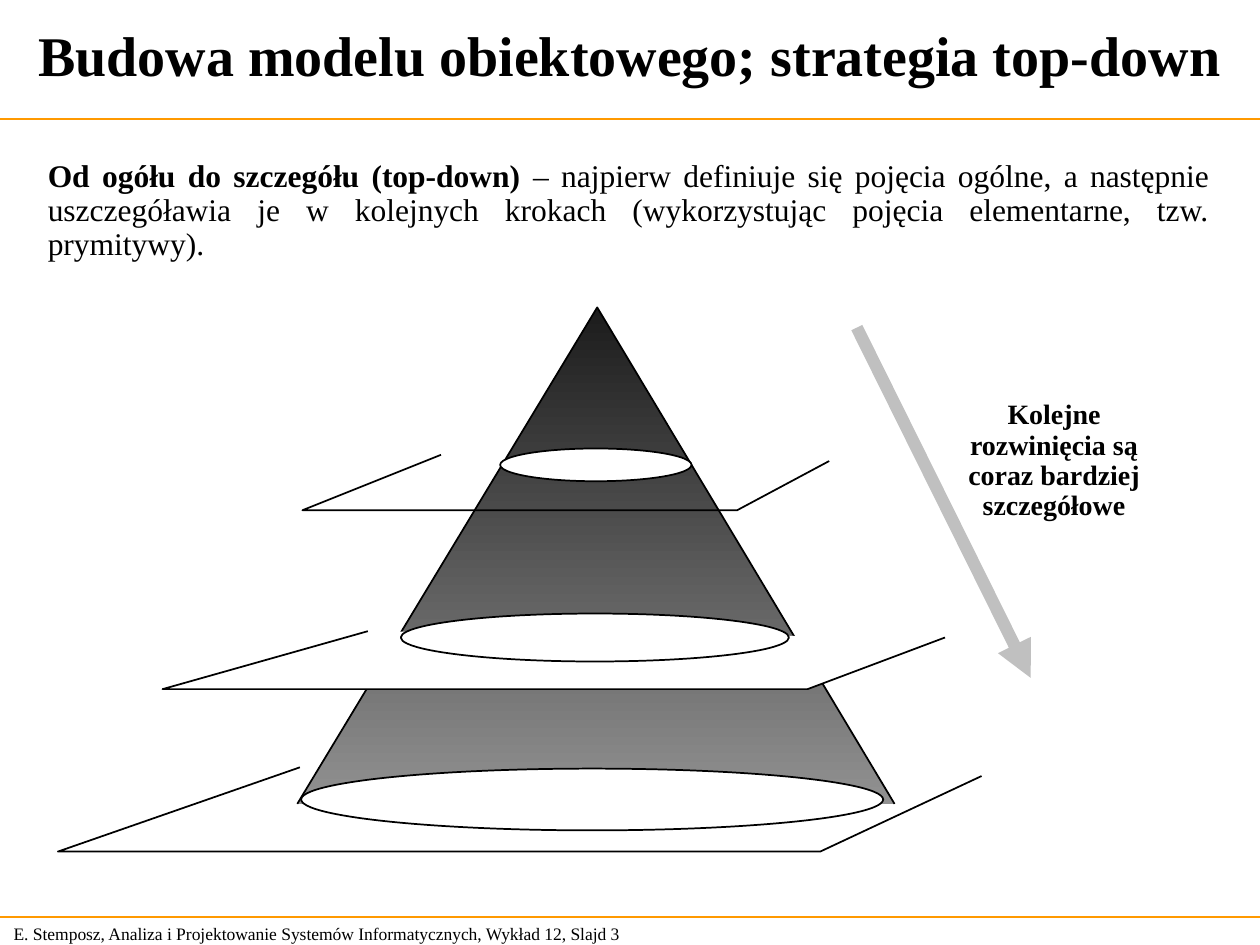
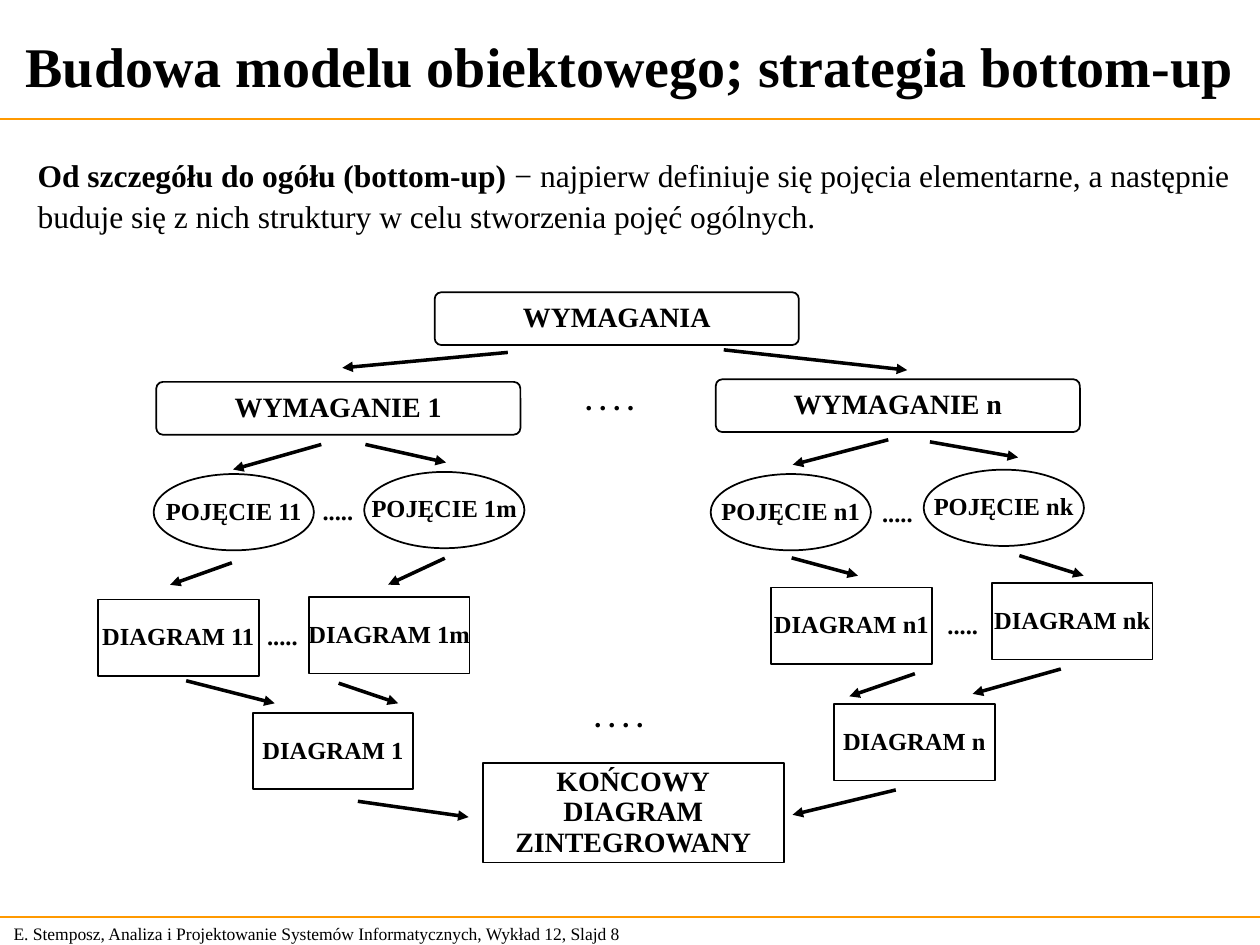
from lxml import etree
from pptx import Presentation
from pptx import util as u
from pptx.dml import color
from pptx.enum import shapes, text
from pptx.oxml import ns

COLORS = {"ink": "000000", "paper": "FFFFFF", "rule": "FF9900", "arrow": "C0C0C0",
          "cone_top": "1C1C1C", "cone_base": "919191"}
FONT = "Times New Roman"
FOOTER = "E. Stemposz, Analiza i Projektowanie Systemów Informatycznych, Wykład 12, Slajd {}"
LEFT, CENTER, JUSTIFY = text.PP_ALIGN.LEFT, text.PP_ALIGN.CENTER, text.PP_ALIGN.JUSTIFY
TOP, MIDDLE = text.MSO_ANCHOR.TOP, text.MSO_ANCHOR.MIDDLE
RECT = shapes.MSO_SHAPE.RECTANGLE
ROUNDED = shapes.MSO_SHAPE.ROUNDED_RECTANGLE
OVAL = shapes.MSO_SHAPE.OVAL


def rgb(name):
    return color.RGBColor.from_string(COLORS[name])


def points(values):
    return [u.Pt(value) for value in values]


def write(box, content, lead="", size=16, bold=True, align=CENTER, anchor=MIDDLE,
          wrap=False, spacing=0.9, before=0):
    """Fill a box with one paragraph per line; lead is a bold opening of the first."""
    frame = box.text_frame
    frame.word_wrap = wrap
    frame.vertical_anchor = anchor
    for number, line in enumerate(content.split("\n")):
        para = frame.paragraphs[0] if number == 0 else frame.add_paragraph()
        para.alignment = align
        para.line_spacing = spacing
        para.space_before = u.Pt(before)
        pieces = [(line, bold)]
        if lead and number == 0:
            pieces.insert(0, (lead, True))
        for words, heavy in pieces:
            span = para.add_run()
            span.text = words
            span.font.name = FONT
            span.font.size = u.Pt(size)
            span.font.bold = heavy
            span.font.color.rgb = rgb("ink")


class Board:
    """The shared style and the slide being built."""

    def __init__(self, deck):
        self.deck = deck
        self.slide = None

    def new_slide(self, number, title, title_area):
        self.slide = self.deck.slides.add_slide(self.deck.slide_layouts[6])
        self.label((0.7, 523.8, 377.3, 19.4), FOOTER.format(number), size=10,
                   bold=False, align=LEFT, spacing=1.0)
        for height in (67.9, 523.9):
            self.line((0, height), (720, height), "rule", 1)
        self.label(title_area, title, size=32, wrap=True, spacing=1.0)

    def label(self, area, content, **style):
        write(self.slide.shapes.add_textbox(*points(area)), content, **style)

    def paint(self, shape, fill=None):
        shape.shadow.inherit = False
        shape.line.color.rgb = rgb("ink")
        shape.line.width = u.Pt(1)
        if fill:
            shape.fill.solid()
            shape.fill.fore_color.rgb = rgb(fill)
        else:
            shape.fill.background()

    def node(self, kind, area, content="", fill=None, **style):
        shape = self.slide.shapes.add_shape(kind, *points(area))
        self.paint(shape, fill)
        if kind == ROUNDED:
            shape.adjustments[0] = 0.125
        if content:
            write(shape, content, **style)

    def outline(self, corners, fill=None):
        start, *rest = [points(corner) for corner in corners]
        builder = self.slide.shapes.build_freeform(*start)
        builder.add_line_segments(rest, close=False)
        shape = builder.convert_to_shape()
        self.paint(shape, fill)
        return shape

    def line(self, start, end, tint="ink", width=2, arrow=False):
        line = self.slide.shapes.add_connector(
            shapes.MSO_CONNECTOR.STRAIGHT, *points(start + end))
        line.line.color.rgb = rgb(tint)
        line.line.width = u.Pt(width)
        if arrow:
            etree.SubElement(line.line._get_or_add_ln(), ns.qn("a:tailEnd"), type="triangle")
        etree.SubElement(line._element.spPr, ns.qn("a:effectLst"))


def build_top_down(board):
    board.new_slide(3, "Budowa modelu obiektowego; strategia top-down", (3, 0, 714, 61.6))

    # Cone cut by three planes, the lowest first
    board.outline([(171.4, 438.5), (33.1, 486.7), (468.7, 486.7), (560.9, 443.5)], "paper")
    cone = board.outline([(169.9, 459.4), (341.3, 175.7), (511.2, 459.4)])
    cone.fill.gradient()
    cone.fill.gradient_angle = 270
    for stop, tint in zip(cone.fill.gradient_stops, ("cone_top", "cone_base")):
        stop.color.rgb = rgb(tint)
    board.outline([(210.2, 360.7), (92.9, 393.8), (461.5, 393.8), (540, 364.3)], "paper")
    board.outline([(252, 259.9), (172.8, 291.6), (421.2, 291.6), (473.8, 263.5)])
    for section in [(172.1, 439.2, 332.6, 35.3), (229, 350.6, 221.8, 27.4),
                    (285.8, 256.3, 109.4, 18.7)]:
        board.node(OVAL, section, fill="paper")

    # Direction of refinement
    board.line((489.6, 187.2), (589, 387.4), "arrow", 7, arrow=True)
    board.label((542.9, 226.8, 118.8, 73.4),
                "Kolejne\nrozwinięcia są\ncoraz bardziej\nszczegółowe")

    # Definition
    board.label((20.2, 87.8, 678.2, 65.5),
                "– najpierw definiuje się pojęcia ogólne, a następnie uszczegóławia je "
                "w kolejnych krokach (wykorzystując pojęcia elementarne, tzw. prymitywy).",
                lead="Od ogółu do szczegółu (top-down) ", size=18, bold=False,
                align=JUSTIFY, anchor=TOP, wrap=True)


def build_bottom_up(board):
    board.new_slide(8, "Budowa modelu obiektowego; strategia bottom-up", (0, 4.3, 720, 66.2))

    # Definition
    board.label((14.4, 87.8, 718.6, 53.3),
                "− najpierw definiuje się pojęcia elementarne, a następnie\n"
                "buduje się z nich struktury w celu stworzenia pojęć ogólnych.",
                lead="Od szczegółu do ogółu (bottom-up) ", size=18, bold=False,
                align=LEFT, anchor=TOP, wrap=True, before=4.5)

    # Nodes: each level shares its shape, size and text size
    levels = [
        (ROUNDED, (208.1, 30.2), 16, [
            ("WYMAGANIA", 248.4, 167), ("WYMAGANIE n", 409, 216.7),
            ("WYMAGANIE 1", 89.3, 218.2)]),
        (OVAL, (91.6, 43.6), 14, [
            ("POJĘCIE 11", 87.8, 270.9), ("POJĘCIE 1m", 208.1, 269.7),
            ("POJĘCIE n1", 406.1, 270.9), ("POJĘCIE nk", 527.8, 268.4)]),
        (RECT, (91.8, 43.7), 14, [
            ("DIAGRAM 11", 56, 342.6), ("DIAGRAM 1m", 176.5, 341.2),
            ("DIAGRAM n1", 440.6, 335.8), ("DIAGRAM nk", 566.8, 333.2),
            ("DIAGRAM 1", 144.4, 407.4), ("DIAGRAM n", 476.6, 402.3)]),
        (RECT, (172.1, 56.9), 16, [("KOŃCOWY\nDIAGRAM\nZINTEGROWANY", 275.8, 436)]),
    ]
    for kind, extent, size, nodes in levels:
        for content, left, top in nodes:
            board.node(kind, (left, top) + extent, content, size=size)

    # Arrows, level by level
    arrows = [
        ((290.2, 201.4), (195.6, 210.2)), ((413.6, 199.9), (518.4, 211.5)),
        ((183.6, 254), (133.2, 268.3)), ((208.8, 254), (254.9, 264.3)),
        ((507.6, 251.3), (453, 265.6)), ((531.4, 252.5), (581.8, 261.4)),
        ((132.5, 321.6), (97.2, 334.2)), ((254.2, 319), (221.8, 334.1)),
        ((452.4, 318.8), (490.3, 329)), ((582.5, 317.5), (619.2, 329)),
        ((106.4, 389), (157, 401.9)), ((193.5, 390.4), (227.5, 401.9)),
        ((522.8, 385), (485.3, 397.9)), ((606.2, 382.3), (555.8, 396.5)),
        ((204.5, 457.9), (267.8, 466.9)), ((511.9, 451.4), (452.9, 465.6)),
    ]
    for start, end in arrows:
        board.line(start, end, arrow=True)

    # Dots for the members left out, in boxes wide enough for one line
    for left, top in [(312.8, 214.6), (318, 396)]:
        board.label((left, top, 71.3, 29.5), ". . . .")
    for left, top in [(489.7, 283.7), (527.1, 347.8), (138.3, 354.2), (170, 283)]:
        board.label((left, top, 46.2, 20.2), ".....", size=14)


def main():
    deck = Presentation()
    deck.slide_width, deck.slide_height = u.Pt(720), u.Pt(540)
    board = Board(deck)
    build_top_down(board)
    build_bottom_up(board)
    deck.save("out.pptx")


if __name__ == "__main__":
    main()
